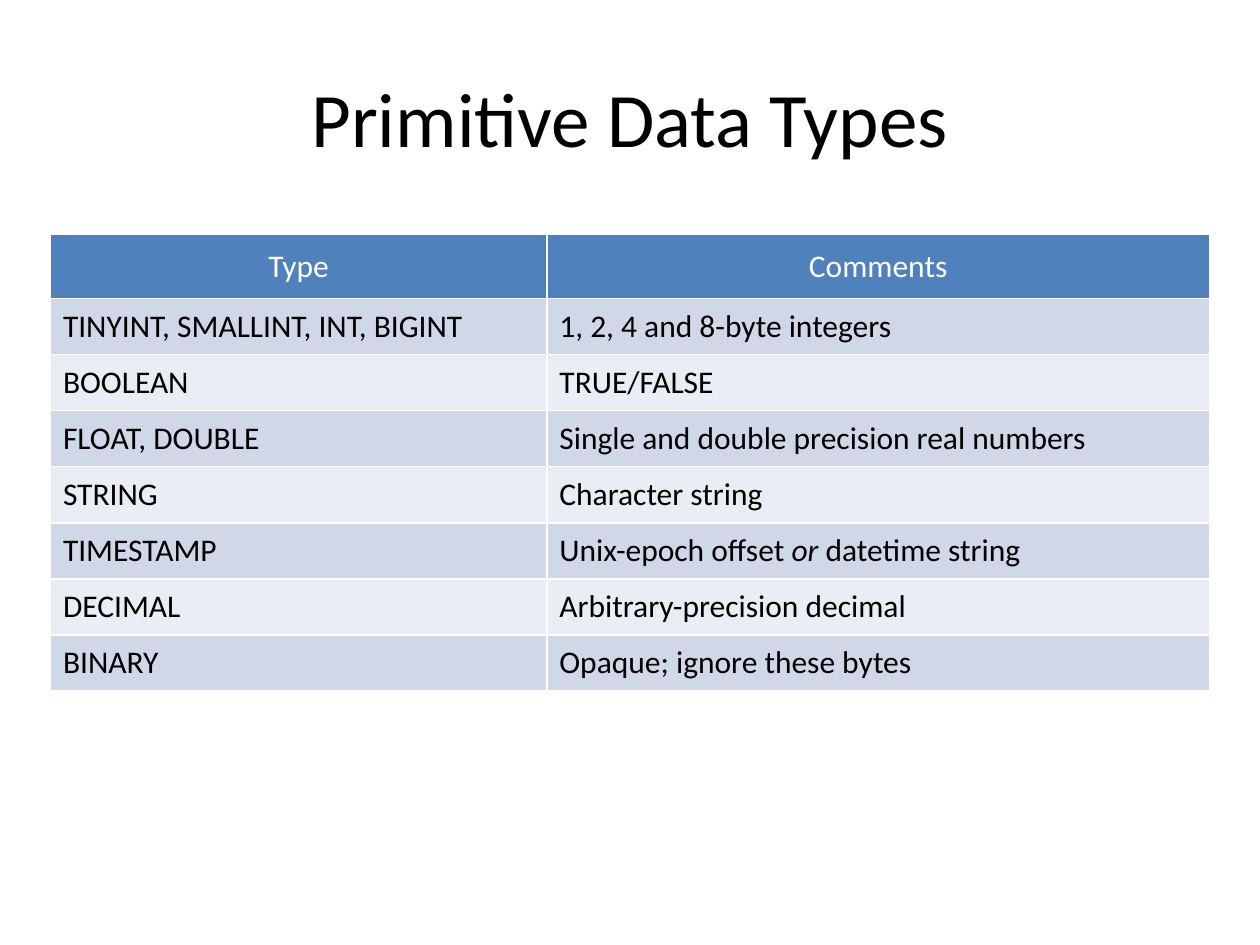
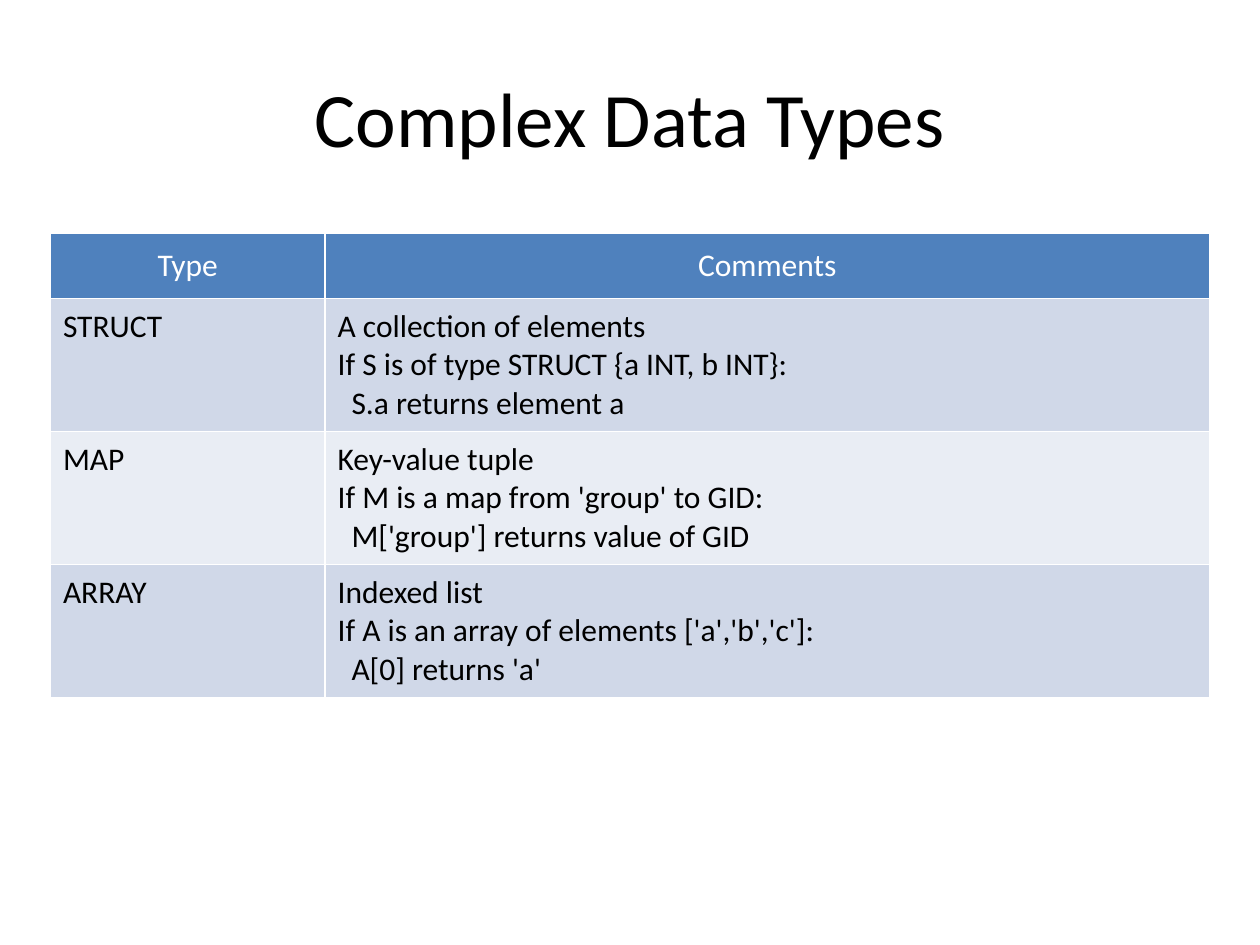
from pptx import Presentation
from pptx.dml.color import RGBColor
from pptx.enum.text import MSO_ANCHOR as Anchor, PP_ALIGN as Align
from pptx.util import Inches, Pt

# Shared look
FONT = "Calibri"
BLACK = RGBColor(0x00, 0x00, 0x00)
WHITE = RGBColor(0xFF, 0xFF, 0xFF)
HEADER_BLUE = RGBColor(0x4F, 0x81, 0xBD)
BANDS = (RGBColor(0xD0, 0xD8, 0xE8), RGBColor(0xE9, 0xED, 0xF4))
TITLE_FORMAT = {"name": FONT, "size": Pt(44)}
CELL_FORMAT = {"name": FONT, "size": Pt(18), "bold": False}
CELL_MARGINS = {"margin_left": Inches(0.1), "margin_right": Inches(0.1),
                "margin_top": Inches(0.07), "margin_bottom": Inches(0.07)}
TITLE_BOX = (0.5, 0.3, 9, 1.25)
ROW_HEIGHT = 0.41  # minimum; rows grow to fit their text
INDENT = Inches(0.11)
HEADINGS = ("Type", "Comments")

# Content: underscores enclose italics, a leading tab marks an indented line
PRIMITIVE_TYPES = [
    ("TINYINT, SMALLINT, INT, BIGINT", "1, 2, 4 and 8-byte integers"),
    ("BOOLEAN", "TRUE/FALSE"),
    ("FLOAT, DOUBLE", "Single and double precision real numbers"),
    ("STRING", "Character string"),
    ("TIMESTAMP", "Unix-epoch offset _or _datetime string"),
    ("DECIMAL", "Arbitrary-precision decimal"),
    ("BINARY", "Opaque; ignore these bytes"),
]
COMPLEX_TYPES = [
    ("STRUCT", "A collection of elements\n"
               "If S is of type STRUCT {a INT, b INT}:\n"
               "\tS.a returns element a"),
    ("MAP", "Key-value tuple\n"
            "If M is a map from 'group' to GID:\n"
            "\tM['group'] returns value of GID"),
    ("ARRAY", "Indexed list\n"
              "If A is an array of elements ['a','b','c']:\n"
              "\tA[0] returns 'a'"),
]


def apply_format(target, values):
    for attribute, value in values.items():
        setattr(target, attribute, value)


def add_title(slide, text, box):
    title = slide.shapes.title
    title.left, title.top, title.width, title.height = map(Inches, box)
    title.text_frame.text = text
    title.text_frame.vertical_anchor = Anchor.MIDDLE
    paragraph = title.text_frame.paragraphs[0]
    paragraph.alignment = Align.CENTER
    apply_format(paragraph.runs[0].font, TITLE_FORMAT)
    paragraph.runs[0].font.color.rgb = BLACK


def fill_cell(cell, text, fill, color, align, anchor):
    cell.fill.solid()
    cell.fill.fore_color.rgb = fill
    cell.vertical_anchor = anchor
    apply_format(cell, CELL_MARGINS)
    frame = cell.text_frame
    for number, line in enumerate(text.split("\n")):
        paragraph = frame.add_paragraph() if number else frame.paragraphs[0]
        paragraph.alignment = align
        if line.startswith("\t"):
            paragraph._p.get_or_add_pPr().set("marL", str(INDENT))
        for part, words in enumerate(line.strip("\t").split("_")):
            run = paragraph.add_run()
            run.text = words
            apply_format(run.font, CELL_FORMAT)
            run.font.italic = part % 2 == 1
            run.font.color.rgb = color


def add_type_table(slide, entries, box, type_width, header_height):
    rows = [HEADINGS, *entries]
    frame = slide.shapes.add_table(len(rows), len(HEADINGS), *map(Inches, box))
    table = frame.table
    for column, width in zip(table.columns, (type_width, box[2] - type_width)):
        column.width = Inches(width)
    for r, texts in enumerate(rows):
        table.rows[r].height = Inches(ROW_HEIGHT if r else header_height)
        if r:
            style = (BANDS[(r - 1) % 2], BLACK, Align.LEFT, Anchor.TOP)
        else:
            style = (HEADER_BLUE, WHITE, Align.CENTER, Anchor.MIDDLE)
        for c, text in enumerate(texts):
            fill_cell(table.cell(r, c), text, *style)
    frame.height = Inches(box[3])


def add_types_slide(deck, title, entries, box, type_width, header_height):
    slide = deck.slides.add_slide(deck.slide_layouts.get_by_name("Title Only"))
    add_title(slide, title, TITLE_BOX)
    add_type_table(slide, entries, box, type_width, header_height)


deck = Presentation()
deck.slide_width, deck.slide_height = Inches(10), Inches(7.5)
add_types_slide(deck, "Primitive Data Types", PRIMITIVE_TYPES,
                (0.4, 1.86, 9.2, 3.54), 3.94, 0.51)
add_types_slide(deck, "Complex Data Types", COMPLEX_TYPES,
                (0.4, 1.85, 9.2, 3.62), 2.18, 0.52)
deck.save("out.pptx")
